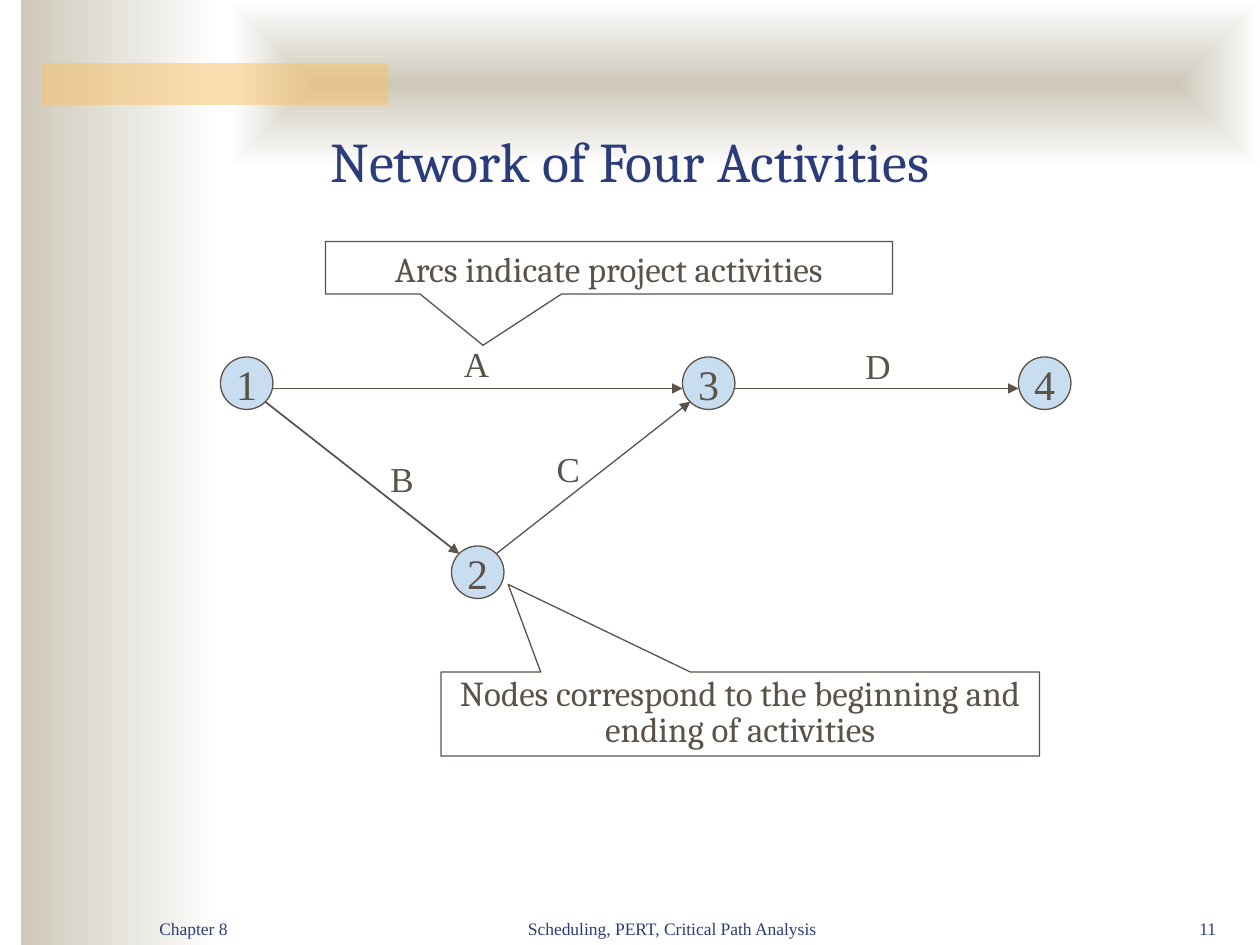
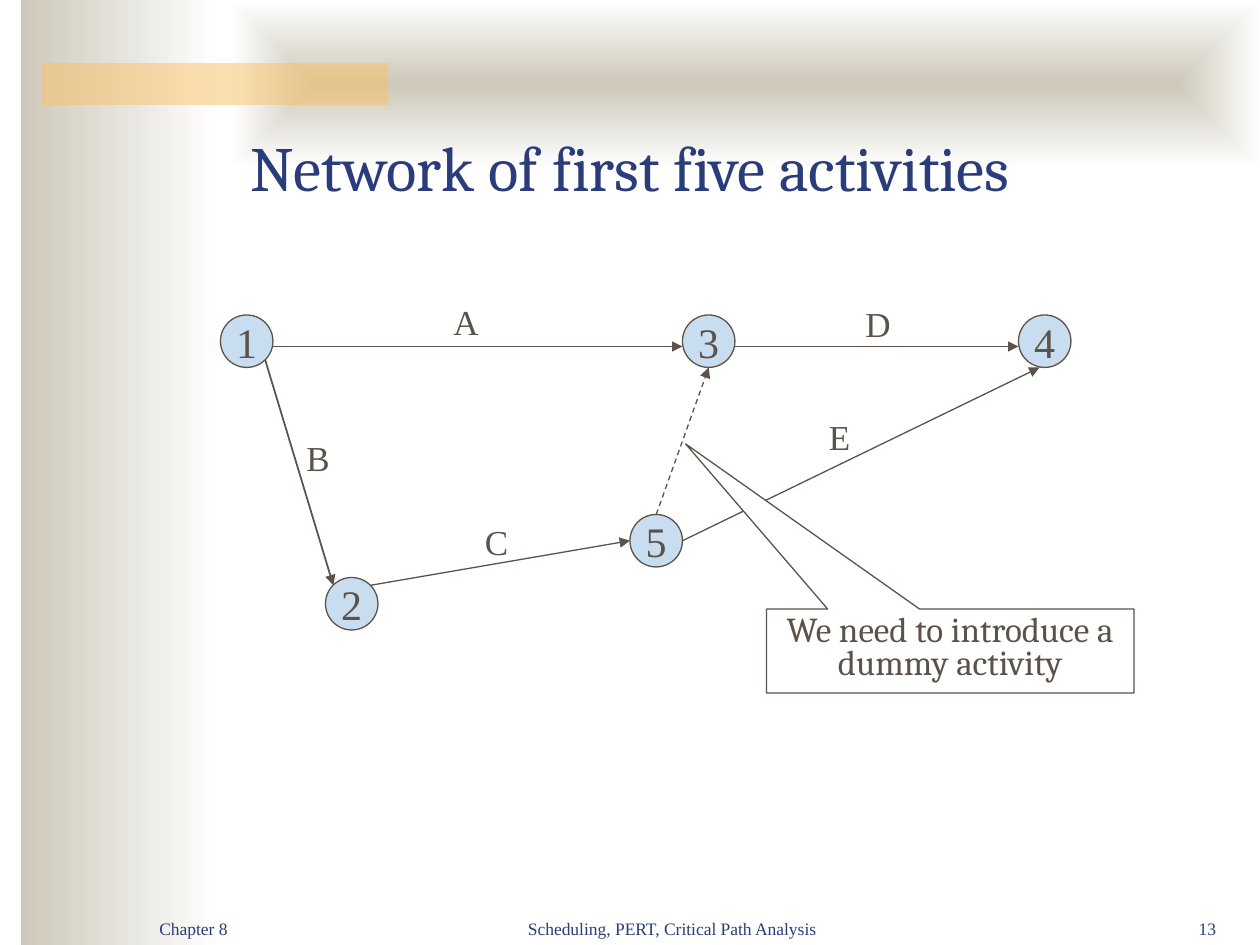
from dataclasses import dataclass

from lxml.etree import SubElement as Sub
from pptx import Presentation
from pptx.dml.color import RGBColor as Rgb
from pptx.enum.dml import MSO_LINE as Dash
from pptx.enum.shapes import MSO_CONNECTOR as Link, MSO_SHAPE as Form
from pptx.enum.text import MSO_ANCHOR as Anchor, PP_ALIGN as Align
from pptx.oxml import parse_xml
from pptx.oxml.ns import nsdecls, qn
from pptx.util import Inches, Pt


@dataclass(frozen=True)
class Theme:
    navy: str = "2A3D7A"
    ink: str = "5B5249"
    sky: str = "C9DDF1"
    sand: str = "CEC8BA"
    gold: str = "FAC164"
    white: str = "FFFFFF"
    head: str = "Cambria"
    body: str = "Times New Roman"
    foot: int = 10
    note: int = 20
    node: int = 24
    thin: float = 0.75
    bold: float = 1


T = Theme()
WIDE, HIGH = Inches(10), Inches(7.5)
COLS, ROWS = 120, 90
SIZE = 5  # node diameter in cells

# Points on a node where arcs meet it, as shares of its size
PORTS = {"out": (1, 0.6), "in": (0, 0.6), "left": (0, 0.5), "right": (1, 0.5),
         "top": (0.5, 0), "base": (0.5, 1), "foot": (0.4, 1),
         "nw": (0.15, 0.15), "ne": (0.85, 0.15), "se": (0.85, 0.85)}


def col(n):
    return round(n * WIDE / COLS)


def row(n):
    return round(n * HIGH / ROWS)


def place(box):
    x, y, w, h = box
    return col(x), row(y), col(w), row(h)


def shift(area, x, y):
    return area[0] + x, area[1] + y


def write(shape, text, size, color, face=T.body, align=Align.LEFT,
          anchor=Anchor.TOP, wrap=True, gap=1.0):
    frame = shape.text_frame
    form = {"word_wrap": wrap, "vertical_anchor": anchor,
            "margin_left": Inches(0.1), "margin_right": Inches(0.1),
            "margin_top": Inches(0.05), "margin_bottom": Inches(0.05)}
    for key, value in form.items():
        setattr(frame, key, value)
    para = frame.paragraphs[0]
    para.alignment, para.line_spacing = align, gap
    run = para.add_run()
    run.text = text
    for key, value in {"size": Pt(size), "name": face}.items():
        setattr(run.font, key, value)
    run.font.color.rgb = Rgb.from_string(color)


def label(slide, box, text, size, color, **form):
    write(slide.shapes.add_textbox(*place(box)), text, size, color, **form)


def draw(slide, form, box, fill=None, line=None):
    shape = slide.shapes.add_shape(form, *place(box))
    shape.shadow.inherit = False
    if fill:
        shape.fill.solid()
        shape.fill.fore_color.rgb = Rgb.from_string(fill)
    else:
        shape.fill.background()
    if line:
        shape.line.color.rgb = Rgb.from_string(line)
        shape.line.width = Pt(T.thin)
    else:
        shape.line.fill.background()
    return shape


def fade(slide, box, way):
    """Rectangle shading from sand to white."""
    shape = draw(slide, Form.RECTANGLE, box)
    props = shape.fill._xPr
    stops = "".join(f'<a:gs pos="{pos}"><a:srgbClr val="{tone}"/></a:gs>'
                    for pos, tone in ((0, T.sand), (100000, T.white)))
    grad = parse_xml(f'<a:gradFill {nsdecls("a")} rotWithShape="1">'
                     f'<a:gsLst>{stops}</a:gsLst>{way}</a:gradFill>')
    props.replace(props.find(qn("a:noFill")), grad)


def decor(slide):
    # Side band, top band, see-through bar
    fade(slide, (2, 0, 19, ROWS), '<a:lin ang="0" scaled="1"/>')
    fade(slide, (22, 0, COLS - 22, 16),
         '<a:path path="rect"><a:fillToRect l="50000" t="50000" '
         'r="50000" b="50000"/></a:path>')
    bar = draw(slide, Form.RECTANGLE, (4, 6, 33, 4), T.gold)
    tone = bar.fill._xPr.find(qn("a:solidFill"))[0]
    Sub(tone, qn("a:alpha"), val="50000")


def footer(slide, page):
    parts = ((14, 25, "Chapter 8", Align.LEFT),
             (45, 38, "Scheduling, PERT, Critical Path Analysis", Align.CENTER),
             (105, 12, page, Align.RIGHT))
    for x, wide, text, align in parts:
        label(slide, (x, 84, wide, 6), text, T.foot, T.navy,
              align=align, anchor=Anchor.BOTTOM)


def node(slide, area, spot, text):
    shape = draw(slide, Form.OVAL, (*shift(area, *spot), SIZE, SIZE),
                 T.sky, T.ink)
    write(shape, text, T.node, T.ink, align=Align.CENTER,
          anchor=Anchor.MIDDLE, wrap=False)


def arc(slide, area, nodes, start, end, width, dash=None):
    ends = []
    for name, port in (start, end):
        x, y = shift(area, *nodes[name])
        dx, dy = PORTS[port]
        ends += [col(x + dx * SIZE), row(y + dy * SIZE)]
    link = slide.shapes.add_connector(Link.STRAIGHT, *ends)
    link.line.color.rgb = Rgb.from_string(T.ink)
    link.line.width = Pt(width)
    if dash:
        link.line.dash_style = dash
    props = link._element.spPr
    Sub(props.find(qn("a:ln")), qn("a:tailEnd"), type="triangle")
    Sub(props, qn("a:effectLst"))


def callout(slide, area, box, tip, text, gap):
    x, y, w, h = box
    shape = draw(slide, Form.RECTANGULAR_CALLOUT, (*shift(area, x, y), w, h),
                 T.white, T.ink)
    shape.adjustments[0] = (tip[0] - x) / w - 0.5
    shape.adjustments[1] = (tip[1] - y) / h - 0.5
    write(shape, text, T.note, T.ink, face=T.head, align=Align.CENTER, gap=gap)


def network(slide, area, nodes, arcs, names, notes):
    """Diagram whose first node sits at the area's top left corner."""
    for name, spot in nodes.items():
        node(slide, area, spot, name)
    for parts in arcs:
        arc(slide, area, nodes, *parts)
    for text, spot in names.items():
        label(slide, (*shift(area, *spot), SIZE, 5.28), text, T.note, T.ink)
    for parts in notes:
        callout(slide, area, *parts)


# What both networks share: the top row of nodes and its arcs
TOP = {"1": (0, 0), "3": (44, 0), "4": (76, 0)}
MAIN = [(("3", "out"), ("4", "in"), T.bold),
        (("1", "out"), ("3", "in"), T.bold),
        (("1", "se"), ("2", "nw"), T.bold)]

PAGES = [
    {"page": "11", "title": "Network of Four Activities", "top": 9, "size": 32,
     "area": (21, 34),
     "nodes": {**TOP, "2": (22, 18)},
     "arcs": MAIN + [(("2", "ne"), ("3", "sw"), T.thin)],
     "names": {"A": (22, -2), "B": (15, 9), "C": (30.84, 8), "D": (60.24, -1.8)},
     "notes": [((10, -11, 54, 5), (25, -1.1),
                "Arcs indicate project activities", 1.0),
               ((21, 30, 57, 8), (27.4, 21.65),
                "Nodes correspond to the beginning and ending of activities",
                0.85)]},
    {"page": "13", "title": "Network of first five activities", "top": 10,
     "size": 36, "area": (21, 30),
     "nodes": {**TOP, "2": (10, 25), "5": (39, 19)},
     "arcs": MAIN + [(("2", "ne"), ("5", "left"), T.thin),
                     (("5", "top"), ("3", "base"), T.thin, Dash.DASH),
                     (("5", "right"), ("4", "foot"), T.thin)],
     "names": {"A": (21, -2), "B": (7, 11), "C": (24, 19),
               "D": (60.24, -1.8), "E": (56.76, 9)},
     "notes": [((52, 28, 35, 8), (44.3, 12.27),
                "We need to introduce a dummy activity", 0.8)]},
]
PORTS["sw"] = (0.15, 0.85)


def build(deck, data):
    slide = deck.slides.add_slide(deck.slide_layouts[6])
    decor(slide)
    footer(slide, data["page"])
    label(slide, (9, data["top"], 102, 10), data["title"], data["size"],
          T.navy, face=T.head, align=Align.CENTER, anchor=Anchor.BOTTOM)
    network(slide, *(data[key] for key in
                     ("area", "nodes", "arcs", "names", "notes")))


def main():
    deck = Presentation()
    deck.slide_width, deck.slide_height = WIDE, HIGH
    for data in PAGES:
        build(deck, data)
    deck.save("out.pptx")


if __name__ == "__main__":
    main()
